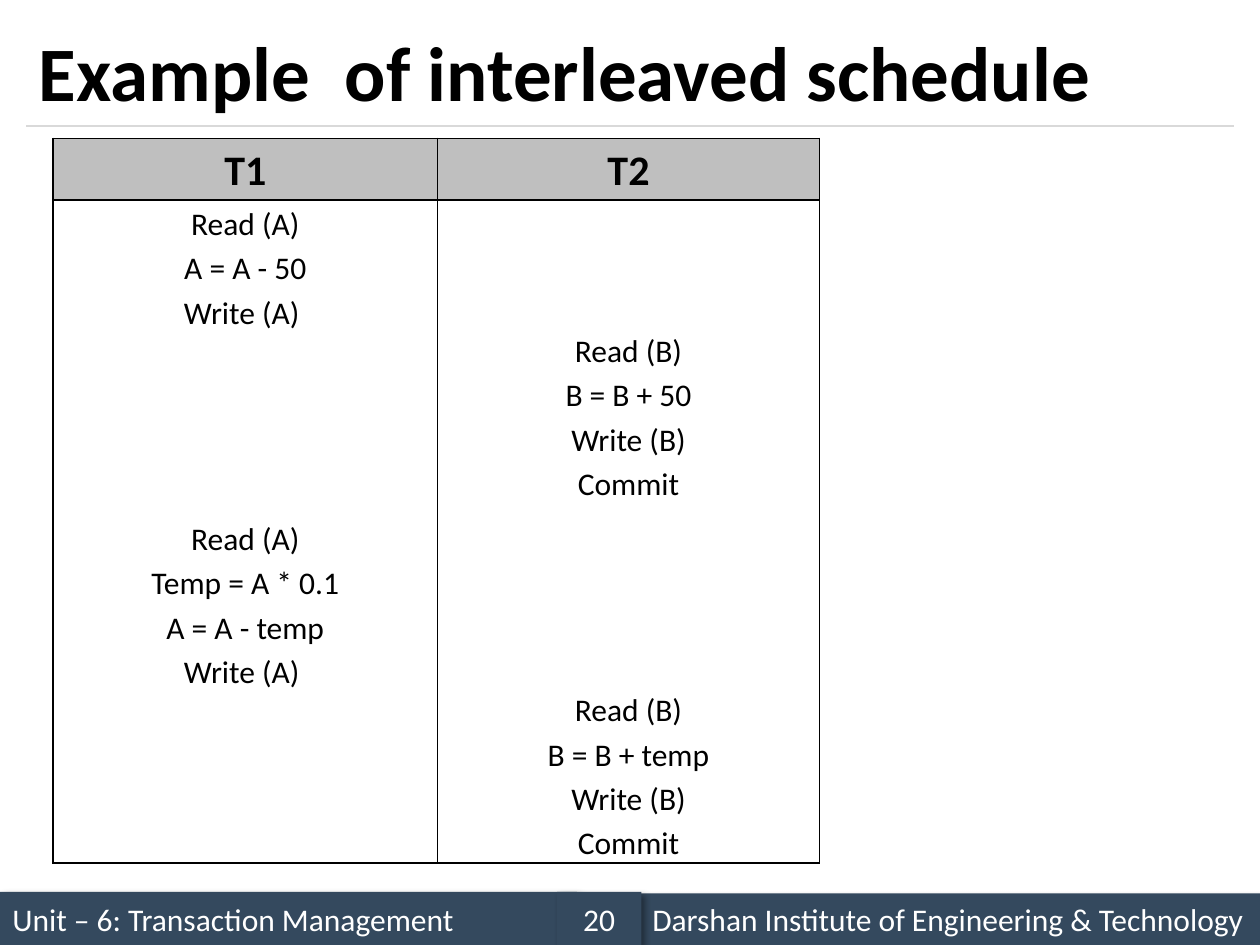
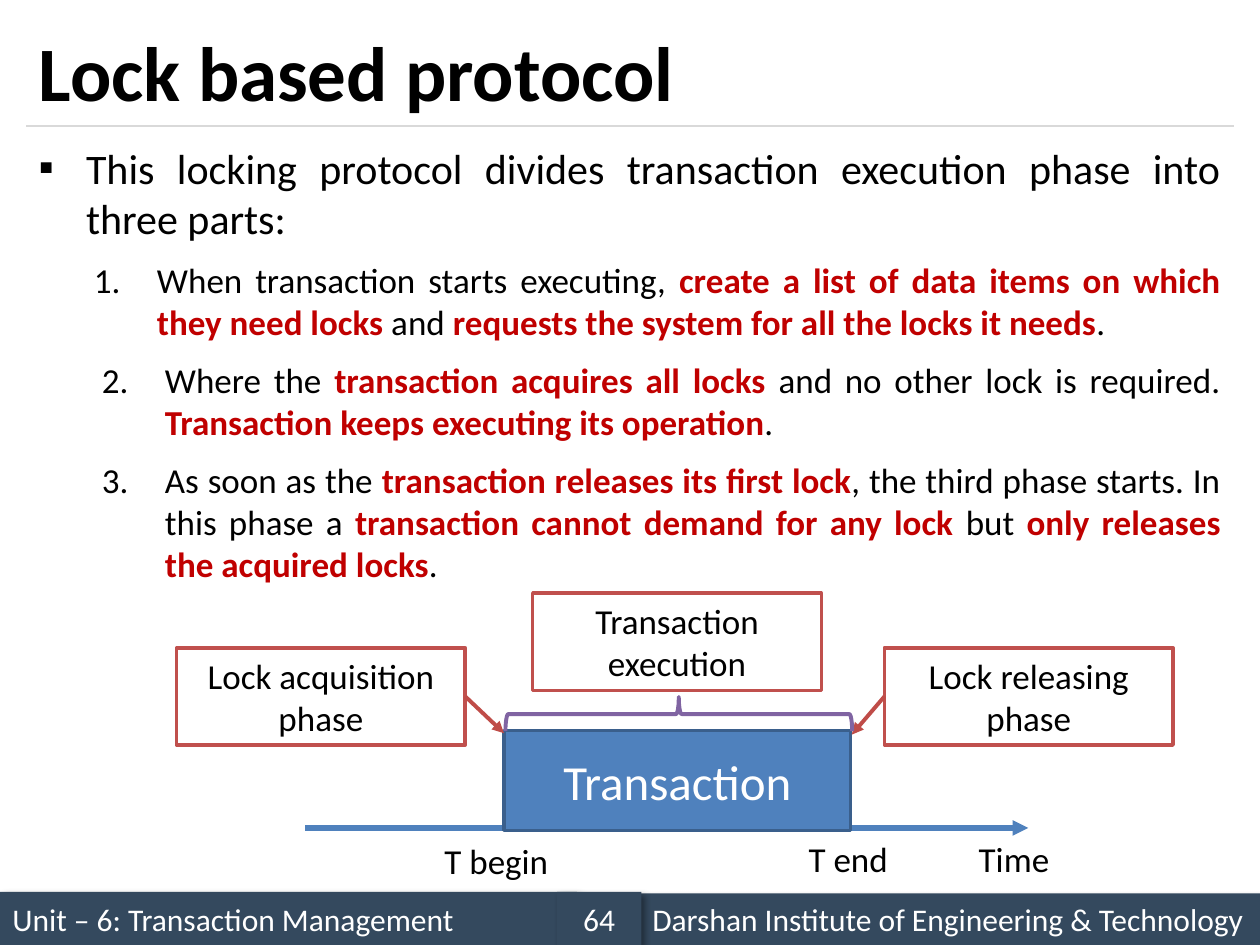
from dataclasses import dataclass
from typing import NamedTuple

from lxml.etree import SubElement
from pptx import Presentation
from pptx.dml.color import RGBColor
from pptx.enum.shapes import MSO_CONNECTOR as Link, MSO_SHAPE as Form
from pptx.enum.text import MSO_ANCHOR as Anchor, MSO_AUTO_SIZE as Fit, PP_ALIGN as Align
from pptx.oxml import parse_xml
from pptx.oxml.ns import nsdecls, qn
from pptx.util import Cm, Pt

BLACK = RGBColor(0, 0, 0)
WHITE = RGBColor(255, 255, 255)
NAVY = RGBColor(0x34, 0x49, 0x5E)
RULE = RGBColor(0xD9, 0xD9, 0xD9)
GREY = RGBColor(0xBF, 0xBF, 0xBF)
BLUE = RGBColor(0x4F, 0x81, 0xBD)
EDGE = RGBColor(0x3A, 0x5F, 0x8C)
RED = RGBColor(0xC0, 0, 0)
BRICK = RGBColor(0xC0, 0x50, 0x4D)
ARROW = RGBColor(0xBF, 0x4C, 0x48)
PURPLE = RGBColor(0x80, 0x64, 0xA2)
FONT = "Calibri"

SHADOW = (
    f'<a:effectLst {nsdecls("a")}><a:outerShdw blurRad="50800" dist="38100" '
    'dir="2700000" algn="tl" rotWithShape="0"><a:srgbClr val="000000">'
    '<a:alpha val="40000"/></a:srgbClr></a:outerShdw></a:effectLst>'
)


class Area(NamedTuple):
    """Left, top, width and height in centimetres."""
    x: float
    y: float
    w: float
    h: float

    def emu(self) -> tuple:
        return tuple(Cm(n) for n in self)


class Run(NamedTuple):
    text: str
    key: bool = False


@dataclass(frozen=True)
class Item:
    runs: tuple
    size: int
    left: float
    hang: float
    level: int = 0


@dataclass(frozen=True)
class Box:
    area: Area
    lines: tuple
    size: int = 20
    fill: RGBColor = WHITE
    edge: RGBColor | None = BRICK
    ink: RGBColor = BLACK
    align: Align = Align.CENTER


@dataclass(frozen=True)
class Step:
    """One table cell: its lines, and the depth at which they start."""
    lines: tuple
    drop: float = 0


TITLE = Area(0.53, 0.3, 24.33, 2.24)
BODY = Area(0.53, 2.74, 24.33, 14.81)

HEADS = ("T1", "T2")
STEPS = (
    (Step(("Read (A)", "A = A - 50", "Write (A) ")),
     Step(("Read (B)", "B = B + 50", "Write (B)", "Commit"), 2.56)),
    (Step(("Read (A)", "Temp = A * 0.1", "A = A - temp", "Write (A) ")),
     Step(("Read (B)", "B = B + temp", "Write (B)", "Commit"), 3.45)),
)

PHASES = (
    Item((Run("This locking protocol divides transaction execution phase into "
              "three parts:"),), 24, 0.95, 0.95),
    Item((Run("When transaction starts executing, "),
          Run("create a list of data items on which they need locks", True),
          Run(" and "),
          Run("requests the system for all the locks it needs", True),
          Run(".")), 20, 2.38, 1.27, 1),
    Item((Run("Where the "),
          Run("transaction acquires all locks ", True),
          Run("and no other lock is required. "),
          Run("Transaction keeps executing its operation", True),
          Run(".")), 20, 2.54, 1.27, 1),
    Item((Run("As soon as the "),
          Run("transaction releases its first lock", True),
          Run(", the third phase starts. In this phase a "),
          Run("transaction cannot demand for any lock ", True),
          Run("but "),
          Run("only releases the acquired locks", True),
          Run(".")), 20, 2.54, 1.27, 1),
)

CORE = Box(Area(10.16, 14.73, 6.99, 2.01), ("Transaction",), 28, BLUE, EDGE, WHITE)
GAIN = Box(Area(3.56, 13.06, 5.82, 1.96), ("Lock acquisition phase",))
FREE = Box(Area(17.83, 13.06, 5.82, 1.96), ("Lock releasing phase",))
WORK = Box(Area(10.74, 11.96, 5.82, 1.96), ("Transaction", "execution"))
MARKS = (
    ("T begin", Area(8.71, 16.79, 2.74, 1.12)),
    ("T end", Area(16.05, 16.76, 2.24, 1.12)),
    ("Time", Area(19.48, 16.76, 1.96, 1.12)),
)


def add_run(para, text: str, size: int, ink: RGBColor = BLACK, bold: bool = False):
    run = para.add_run()
    run.text = text
    font = run.font
    font.name, font.size, font.bold = FONT, Pt(size), bold
    font.color.rgb = ink


def next_para(frame, index: int):
    return frame.paragraphs[0] if index == 0 else frame.add_paragraph()


def add_lines(frame, lines: tuple, size: int, ink: RGBColor = BLACK,
              align: Align = Align.CENTER, bold: bool = False, pitch: float = 1):
    for index, line in enumerate(lines):
        para = next_para(frame, index)
        para.alignment, para.line_spacing = align, pitch
        add_run(para, line, size, ink, bold)


def add_box(slide, box: Box):
    shape = slide.shapes.add_shape(Form.RECTANGLE, *box.area.emu())
    shape.shadow.inherit = False
    shape.fill.solid()
    shape.fill.fore_color.rgb = box.fill
    if box.edge is None:
        shape.line.fill.background()
    else:
        shape.line.color.rgb, shape.line.width = box.edge, Pt(2)
    frame = shape.text_frame
    frame.word_wrap, frame.vertical_anchor = True, Anchor.MIDDLE
    add_lines(frame, box.lines, box.size, box.ink, box.align)
    return shape


def add_line(slide, start: tuple, end: tuple, ink: RGBColor, width: float,
             arrow: bool = False):
    line = slide.shapes.add_connector(
        Link.STRAIGHT, *(Cm(n) for n in start + end))
    line.line.color.rgb, line.line.width = ink, Pt(width)
    props = line._element.spPr
    if arrow:
        SubElement(props.find(qn("a:ln")), qn("a:tailEnd"), type="triangle")
    SubElement(props, qn("a:effectLst"))
    return line


def add_bar(slide, area: Area, text: str, align: Align = Align.LEFT):
    """Footer band with a soft shadow."""
    bar = add_box(slide, Box(area, (text,), 18, NAVY, None, WHITE, align))
    props = bar._element.spPr
    props.replace(props.find(qn("a:effectLst")), parse_xml(SHADOW))


def new_slide(deck, layout: int, title: str, number: int):
    """Slide with the shared title, rule and footer."""
    slide = deck.slides.add_slide(deck.slide_layouts[layout])
    add_bar(slide, Area(0, 17.98, 11.63, 1.07), "Unit – 6: Transaction Management")
    add_line(slide, (0.53, 2.54), (24.87, 2.54), RULE, 0.75)
    add_bar(slide, Area(12.9, 18.01, 12.5, 1.04),
            "Darshan Institute of Engineering & Technology")
    add_bar(slide, Area(11.23, 17.98, 1.7, 1.07), str(number), Align.CENTER)
    head = slide.shapes.title
    place(head, TITLE)
    head.text_frame.vertical_anchor = Anchor.MIDDLE
    add_lines(head.text_frame, (title,), 44, align=Align.LEFT, bold=True)
    return slide


def place(shape, area: Area):
    shape.left, shape.top, shape.width, shape.height = area.emu()
    shape.text_frame.word_wrap = True
    shape.text_frame.auto_size = Fit.NONE


def set_edges(cell, sides: str):
    """Draw black borders on the given sides and clear the others."""
    props = cell._tc.get_or_add_tcPr()
    for index, side in enumerate("LRTB"):
        paint = ('<a:solidFill><a:srgbClr val="000000"/></a:solidFill>'
                 if side in sides else "<a:noFill/>")
        props.insert(index, parse_xml(
            f'<a:ln{side} {nsdecls("a")} w="12700">{paint}</a:ln{side}>'))


def fill_cell(cell, step: Step, size: int, back: RGBColor, sides: str,
              bold: bool = False):
    cell.margin_left = cell.margin_right = Cm(0.18)
    cell.margin_top, cell.margin_bottom = Cm(step.drop), Cm(0)
    cell.fill.solid()
    cell.fill.fore_color.rgb = back
    set_edges(cell, sides)
    add_lines(cell.text_frame, step.lines, size, bold=bold, pitch=1.15)


def add_table(slide):
    area = Area(1.07, 2.79, 15.45, 13.99)
    table = slide.shapes.add_table(3, 2, *area.emu()).table
    table.first_row = table.horz_banding = False
    for col, width in zip(table.columns, (7.75, 7.7)):
        col.width = Cm(width)
    for row, height in zip(table.rows, (1.24, 6.35, 6.4)):
        row.height = Cm(height)
    for col, head in enumerate(HEADS):
        fill_cell(table.cell(0, col), Step((head,)), 24, GREY, "LRTB", True)
    for row, (steps, sides) in enumerate(zip(STEPS, ("LRT", "LRB")), 1):
        for col, step in enumerate(steps):
            fill_cell(table.cell(row, col), step, 18, WHITE, sides)


def add_list(slide):
    body = slide.placeholders[1]
    place(body, BODY)
    for index, item in enumerate(PHASES):
        para = next_para(body.text_frame, index)
        para.level, para.alignment = item.level, Align.JUSTIFY
        para.space_before = Pt(9 if index else 0)
        props = para._p.get_or_add_pPr()
        props.set("marL", str(Cm(item.left)))
        props.set("indent", str(-Cm(item.hang)))
        SubElement(props, qn("a:buFont"), typeface=FONT)
        if item.level:
            SubElement(props, qn("a:buAutoNum"), type="arabicPeriod")
        else:
            SubElement(props, qn("a:buChar"), char="▪")
        for run in item.runs:
            add_run(para, run.text, item.size, RED if run.key else BLACK, run.key)


def add_chain(slide):
    """Time line with the three lock phases."""
    add_line(slide, (6.15, 16.69), (20.73, 16.69), BLUE, 3, True)
    add_box(slide, CORE)
    for text, area in MARKS:
        mark = slide.shapes.add_textbox(*area.emu())
        mark.text_frame.word_wrap = True
        add_lines(mark.text_frame, (text,), 20, align=Align.LEFT)
    gain, free = add_box(slide, GAIN), add_box(slide, FREE)
    for box, side, start, end in (
        (gain, 3, (9.38, 14.04), (10.16, 14.78)),
        (free, 1, (17.83, 14.04), (17.17, 14.81)),
    ):
        add_line(slide, start, end, ARROW, 2.25, True).begin_connect(box, side)
    brace = slide.shapes.add_shape(
        Form.RIGHT_BRACE, *Area(13.34, 10.9, 0.69, 6.99).emu())
    brace.rotation = 270
    brace.shadow.inherit = False
    brace.fill.background()
    brace.line.color.rgb, brace.line.width = PURPLE, Pt(2.25)
    add_box(slide, WORK)


def main():
    deck = Presentation()
    deck.slide_width, deck.slide_height = Cm(25.4), Cm(19.05)
    add_table(new_slide(deck, 5, "Example  of interleaved schedule", 20))
    lock = new_slide(deck, 1, "Lock based protocol", 64)
    add_list(lock)
    add_chain(lock)
    deck.save("out.pptx")


if __name__ == "__main__":
    main()
